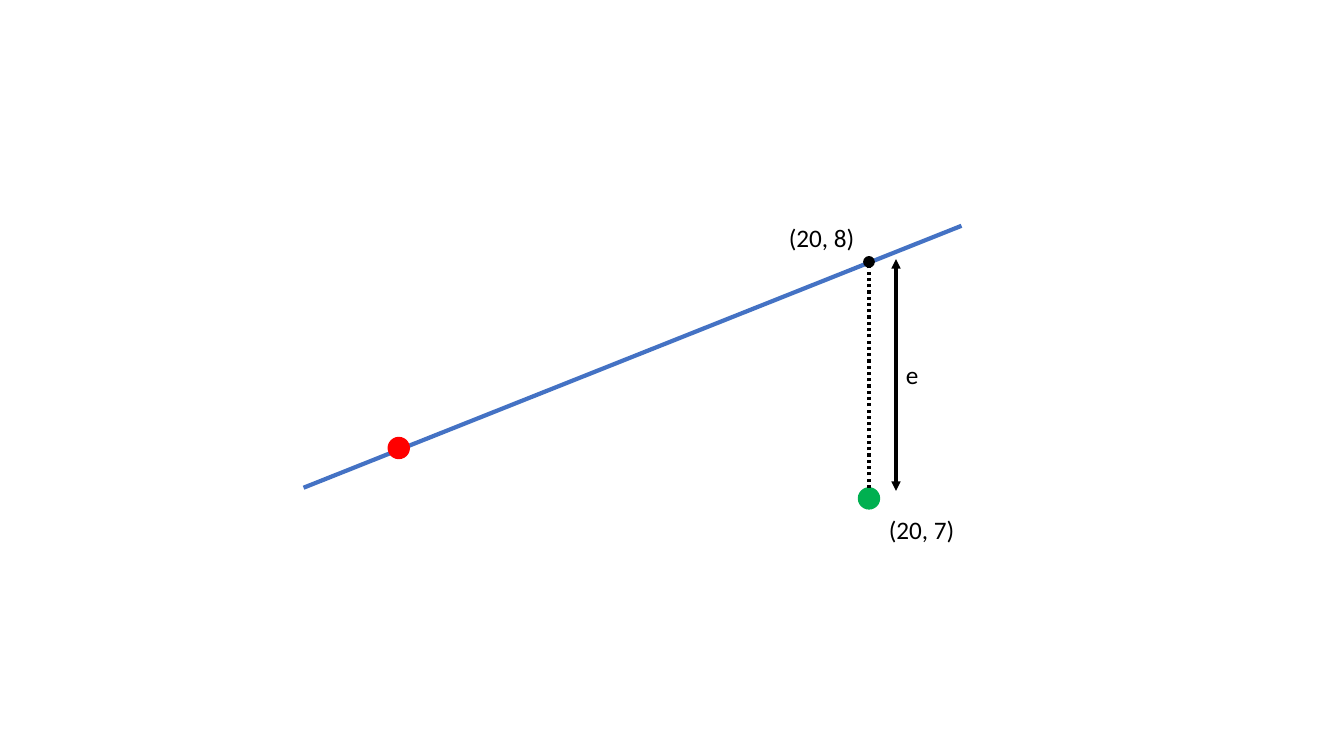
from lxml import etree
from pptx import Presentation
from pptx import util as u
from pptx.dml.color import RGBColor
from pptx.enum import dml, shapes, text
from pptx.oxml.ns import qn

COLOURS = {
    "fit": "4472C4",
    "known": "FF0000",
    "observed": "00B050",
    "ink": "000000",
}
FONT = "Calibri"
POINT_X = 21.9       # shared by the observed and the predicted point
PREDICTED_Y = 6.6
OBSERVED_Y = 12.56
DOT = 0.53
LABEL_HEIGHT = 1.02


def colour(name):
    return RGBColor.from_string(COLOURS[name])


def add_line(group, start, end, colour_name, width, dash=None, arrows=False):
    """Draw a straight line between two (x, y) points in centimetres."""
    line = group.shapes.add_connector(
        shapes.MSO_CONNECTOR.STRAIGHT, *(u.Cm(value) for value in start + end))
    line.line.color.rgb = colour(colour_name)
    line.line.width = u.Pt(width)
    if dash:
        line.line.dash_style = dash
    if arrows:
        outline = line.line._get_or_add_ln()
        for tag in ("a:headEnd", "a:tailEnd"):
            etree.SubElement(outline, qn(tag), type="triangle")
    etree.SubElement(line._element.spPr, qn("a:effectLst"))


def add_dot(group, x, y, diameter, colour_name):
    """Draw a filled circle centred on (x, y)."""
    dot = group.shapes.add_shape(
        shapes.MSO_SHAPE.OVAL, u.Cm(x - diameter / 2), u.Cm(y - diameter / 2),
        u.Cm(diameter), u.Cm(diameter))
    dot.shadow.inherit = False
    dot.fill.solid()
    dot.fill.fore_color.rgb = colour(colour_name)
    dot.line.color.rgb = colour(colour_name)
    dot.line.width = u.Pt(1)


def add_label(group, left, top, width, wording):
    box = group.shapes.add_textbox(
        u.Cm(left), u.Cm(top), u.Cm(width), u.Cm(LABEL_HEIGHT))
    frame = box.text_frame
    frame.word_wrap = True
    frame.auto_size = text.MSO_AUTO_SIZE.SHAPE_TO_FIT_TEXT
    frame.text = wording
    font = frame.paragraphs[0].runs[0].font
    font.name = FONT
    font.size = u.Pt(18)
    font.color.rgb = colour("ink")


def main():
    presentation = Presentation()
    presentation.slide_width = u.Cm(33.87)
    presentation.slide_height = u.Cm(19.05)
    slide = presentation.slides.add_slide(presentation.slide_layouts[6])
    diagram = slide.shapes.add_group_shape()

    # Fitted line with the observed and the known point
    add_line(diagram, (7.65, 12.29), (24.23, 5.69), "fit", 3)
    add_dot(diagram, POINT_X, OBSERVED_Y, DOT, "observed")
    add_dot(diagram, 10.05, 11.29, DOT, "known")

    # Vertical error between observation and line
    add_line(diagram, (POINT_X, OBSERVED_Y - DOT / 2), (POINT_X, PREDICTED_Y),
             "ink", 2.25, dash=dml.MSO_LINE.ROUND_DOT)
    add_line(diagram, (22.58, 6.53), (22.58, 12.37), "ink", 2.25, arrows=True)

    # Labels
    add_label(diagram, 22.58, 8.94, 0.53, "e")
    add_label(diagram, 22.15, 12.83, 2.26, "(20, 7)")
    add_label(diagram, 19.63, 5.49, 2.26, "(20, 8)")

    # Predicted point on the line
    add_dot(diagram, POINT_X, PREDICTED_Y, 0.26, "ink")

    presentation.save("out.pptx")


main()
